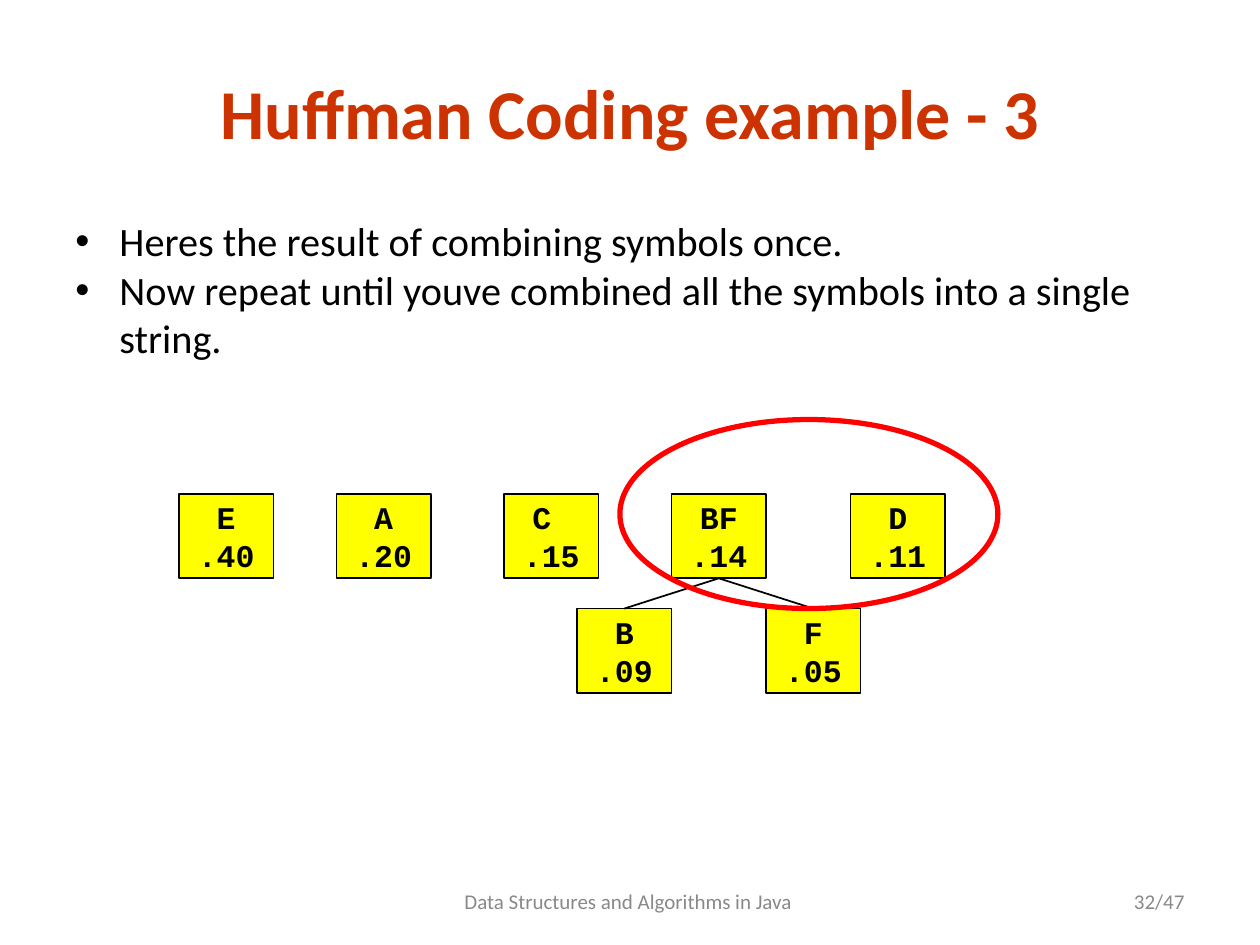
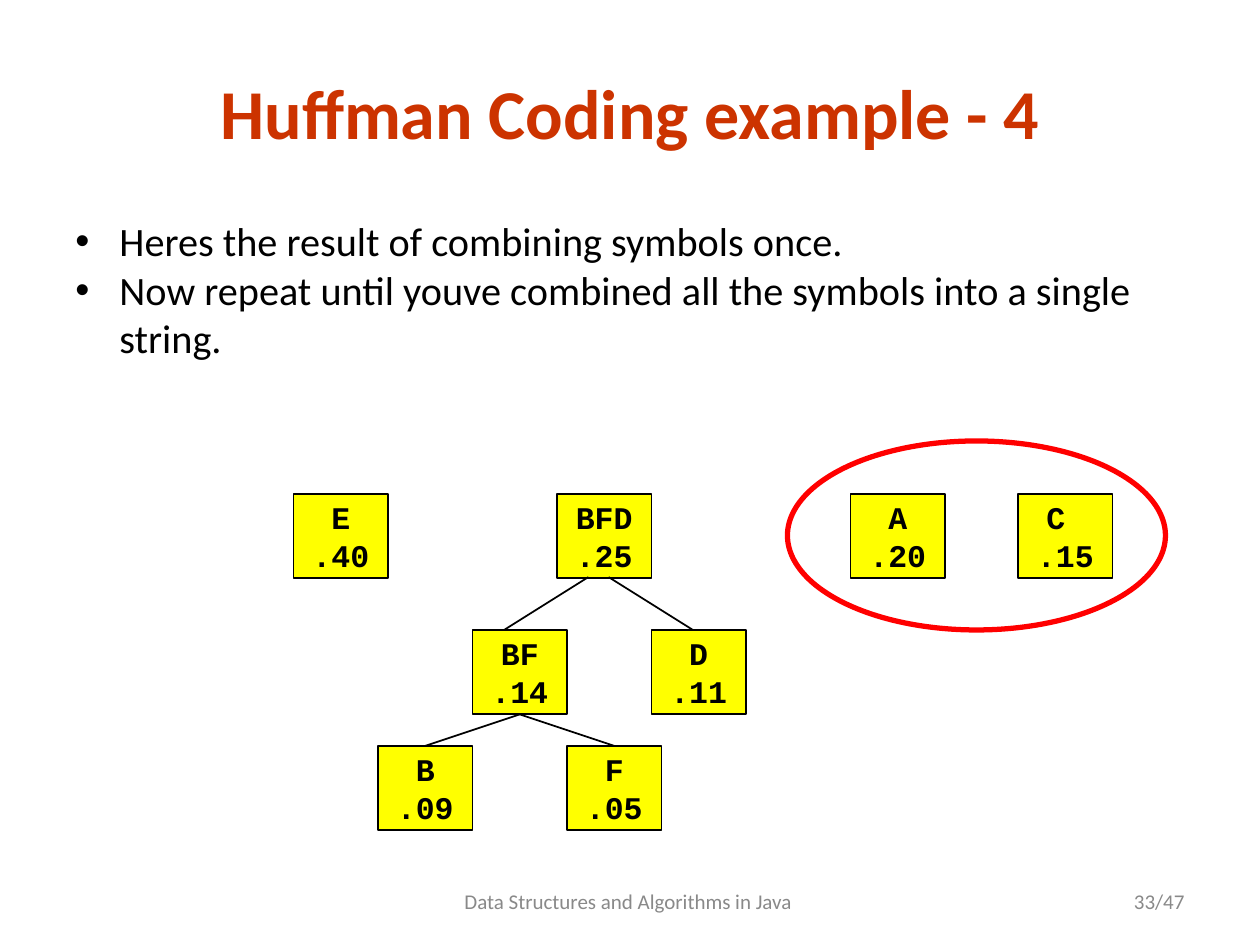
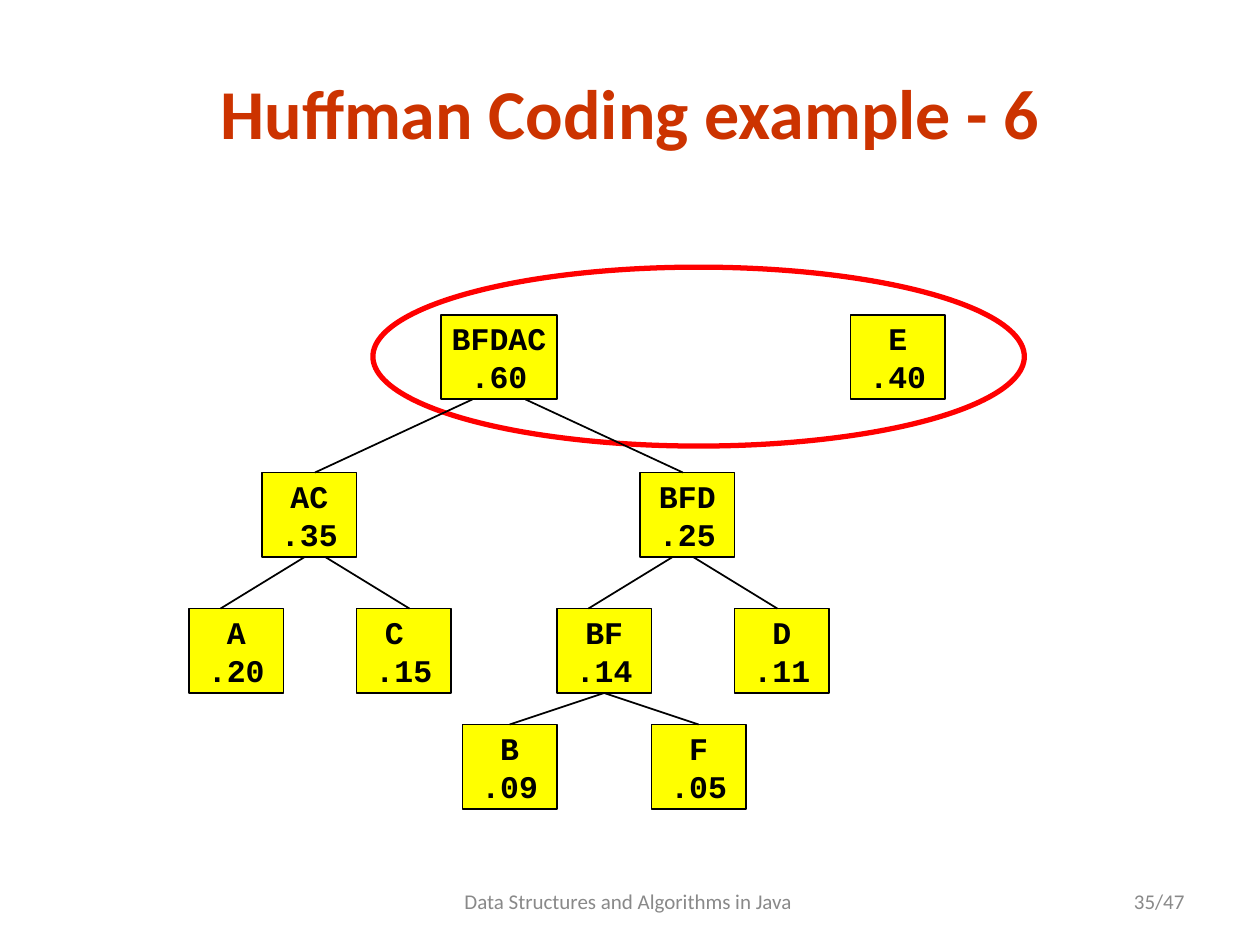
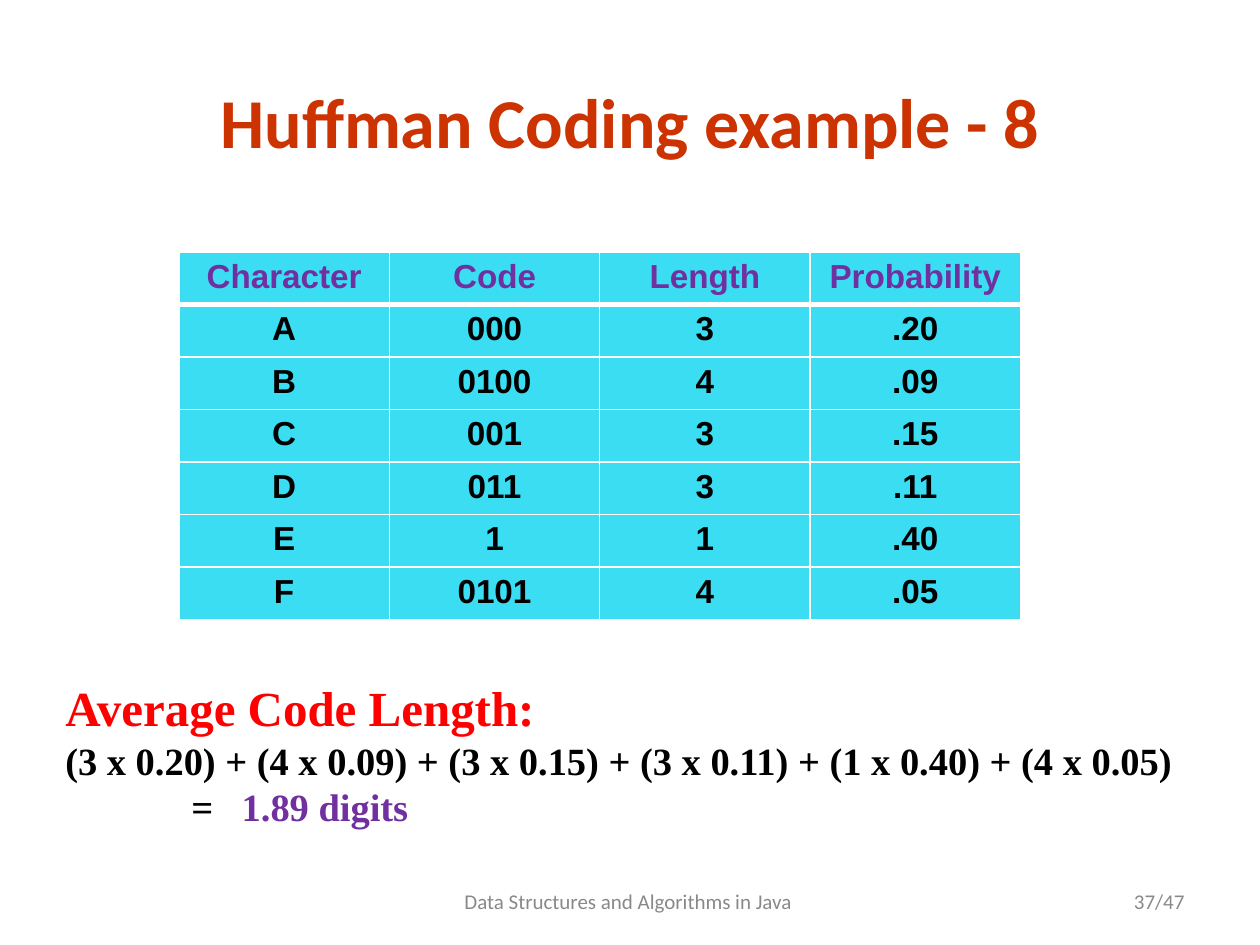
from lxml import etree
from pptx import Presentation
from pptx import util as u
from pptx.dml import color
from pptx.enum import shapes, text
from pptx.oxml import ns

BLACK, RED, YELLOW, WHITE = "000000", "FF0000", "FFFF00", "FFFFFF"
TITLE, GREY, PURPLE, CYAN = "CC3300", "898989", "7030A0", "3BDDF3"
BOX_W, BOX_H = 0.75, 0.67
LEFT, CENTER, RIGHT = text.PP_ALIGN.LEFT, text.PP_ALIGN.CENTER, text.PP_ALIGN.RIGHT
MIDDLE, TOP = text.MSO_ANCHOR.MIDDLE, text.MSO_ANCHOR.TOP


def rgb(value):
    return color.RGBColor.from_string(value)


def write(tf, lines, size, font, hex_color, bold=False, align=CENTER, anchor=MIDDLE, wrap=True):
    tf.text = "\n".join(lines)
    tf.word_wrap = wrap
    tf.vertical_anchor = anchor
    for p in tf.paragraphs:
        p.alignment = align
        for r in p.runs:
            r.font.size, r.font.name, r.font.bold = u.Pt(size), font, bold
            r.font.color.rgb = rgb(hex_color)


prs = Presentation()
prs.slide_width, prs.slide_height = u.Inches(10), u.Inches(7.5)

bullets = ["Heres the result of combining symbols once.",
           "Now repeat until youve combined all the symbols into a single string."]

# Boxes: label, probability, left, top
# Joins: parent and child; forks: centre, top, bottom, half width at top and bottom
pages = [
    dict(step=3, number=32, title_top=0.5, bullets=bullets,
         ellipse=(4.92, 3.33, 3, 1.5), ellipse_behind=False,
         boxes=[("E", ".40", 1.42, 3.92), ("A", ".20", 2.67, 3.92), ("C ", ".15", 4, 3.92),
                ("BF", ".14", 5.33, 3.92), ("D", ".11", 6.75, 3.92),
                ("B", ".09", 4.58, 4.83), ("F", ".05", 6.08, 4.83)],
         joins=[("BF", "B"), ("BF", "F")], forks=[]),
    dict(step=4, number=33, title_top=0.5, bullets=bullets,
         ellipse=(6.25, 3.5, 3, 1.5), ellipse_behind=False,
         boxes=[("E", ".40", 2.33, 3.92), ("BFD", ".25", 4.42, 3.92),
                ("A", ".20", 6.75, 3.92), ("C ", ".15", 8.08, 3.92),
                ("BF", ".14", 3.75, 5), ("D", ".11", 5.17, 5),
                ("B", ".09", 3, 5.92), ("F", ".05", 4.5, 5.92)],
         joins=[("BF", "B"), ("BF", "F")], forks=[(4.75, 4.58, 5, 0.08, 0.75)]),
    dict(step=6, number=35, title_top=0.5, bullets=[],
         ellipse=(2.96, 2.12, 5.17, 1.42), ellipse_behind=True,
         boxes=[("BFDAC", ".60", 3.5, 2.5), ("E", ".40", 6.75, 2.5),
                ("AC", ".35", 2.08, 3.75), ("BFD", ".25", 5.08, 3.75),
                ("A", ".20", 1.5, 4.83), ("C ", ".15", 2.83, 4.83),
                ("BF", ".14", 4.42, 4.83), ("D", ".11", 5.83, 4.83),
                ("B", ".09", 3.67, 5.75), ("F", ".05", 5.17, 5.75)],
         joins=[("BF", "B"), ("BF", "F")],
         forks=[(3.96, 3.17, 3.75, 0.21, 1.46), (2.5, 4.42, 4.83, 0.08, 0.75),
                (5.42, 4.42, 4.83, 0.08, 0.75)]),
    dict(step=8, number=37, title_top=0.57, bullets=[], ellipse=None, ellipse_behind=False,
         boxes=[], joins=[], forks=[]),
]

for page in pages:
    s = prs.slides.add_slide(prs.slide_layouts[6])

    # Title and footer
    for line, at, size, hex_color, bold, align in [
            ("Data Structures and Algorithms in Java ", (3.42, 6.95, 3.17, 0.4), 12, GREY, False, CENTER),
            (f"{page['number']}/47", (7.17, 6.95, 2.33, 0.4), 12, GREY, False, RIGHT),
            (f"Huffman Coding example - {page['step']}", (0.75, page["title_top"], 8.5, 0.77),
             40, TITLE, True, CENTER)]:
        sp = s.shapes.add_textbox(*map(u.Inches, at))
        write(sp.text_frame, [line], size, "Calibri", hex_color, bold, align)

    # Bullets
    if page["bullets"]:
        sp = s.shapes.add_textbox(*map(u.Inches, (0.5, 1.42, 9, 1.65)))
        tf = sp.text_frame
        write(tf, page["bullets"], 23, "Calibri", BLACK, align=LEFT, anchor=TOP)
        tf.margin_top = u.Inches(0.3)
        for p in tf.paragraphs:
            pPr = p._p.get_or_add_pPr()
            pPr.set("marL", str(u.Inches(0.35)))
            pPr.set("indent", str(-u.Inches(0.35)))
            etree.SubElement(pPr, ns.qn("a:buFont"), typeface="Arial")
            etree.SubElement(pPr, ns.qn("a:buChar"), char="•")

    # Tree boxes
    nodes = {}
    for label, probability, x, y in page["boxes"]:
        w = 0.92 if len(label) > 3 else BOX_W
        sp = s.shapes.add_shape(shapes.MSO_SHAPE.RECTANGLE, *map(u.Inches, (x, y, w, BOX_H)))
        sp.shadow.inherit = False
        sp.fill.solid()
        sp.fill.fore_color.rgb = rgb(YELLOW)
        sp.line.color.rgb = rgb(BLACK)
        sp.line.width = u.Pt(1)
        write(sp.text_frame, [label, probability], 18, "Courier New", BLACK, True, wrap=False)
        nodes[label] = sp

    # Branches
    branches = []
    for parent, child in page["joins"]:
        c = s.shapes.add_connector(shapes.MSO_CONNECTOR.STRAIGHT, 0, 0, 0, 0)
        c.begin_connect(nodes[parent], 2)
        c.end_connect(nodes[child], 0)
        branches.append(c)
    for x, top, bottom, near, far in page["forks"]:
        for side in (-1, 1):
            ends = (x + side * near, top, x + side * far, bottom)
            branches.append(s.shapes.add_connector(shapes.MSO_CONNECTOR.STRAIGHT, *map(u.Inches, ends)))
    for c in branches:
        c.line.color.rgb = rgb(BLACK)
        c.line.width = u.Pt(1)
        etree.SubElement(c._element.spPr, ns.qn("a:effectLst"))

    # Ellipse around the next pair to combine
    if page["ellipse"]:
        sp = s.shapes.add_shape(shapes.MSO_SHAPE.OVAL, *map(u.Inches, page["ellipse"]))
        sp.shadow.inherit = False
        sp.fill.background()
        sp.line.color.rgb = rgb(RED)
        sp.line.width = u.Pt(3)
        if page["ellipse_behind"]:
            nodes["BFDAC"]._element.addprevious(sp._element)

# Code table on the last slide
rows = [("Character", "Code", "Length", "Probability"),
        ("A", "000", "3", ".20"), ("B", "0100", "4", ".09"), ("C", "001", "3", ".15"),
        ("D", "011", "3", ".11"), ("E", "1", "1", ".40"), ("F", "0101", "4", ".05")]
table = s.shapes.add_table(len(rows), 4, *map(u.Inches, (1.42, 2, 6.67, 2.84))).table
table.horz_banding = False
for col in table.columns:
    col.width = u.Inches(1.67)
for i, row in enumerate(rows):
    table.rows[i].height = u.Inches(0.41)
    for j, value in enumerate(row):
        cell = table.cell(i, j)
        write(cell.text_frame, [value], 19, "Arial", BLACK if i else PURPLE, True)
        cell.vertical_anchor = TOP
        tcPr = cell._tc.get_or_add_tcPr()
        for edge in ("lnL", "lnR", "lnT", "lnB"):
            thick = (i, edge) in ((0, "lnB"), (1, "lnT"))
            ln = etree.SubElement(tcPr, ns.qn(f"a:{edge}"), w=str(u.Pt(3 if thick else 1)))
            fill = etree.SubElement(ln, ns.qn("a:solidFill"))
            etree.SubElement(fill, ns.qn("a:srgbClr"), val=WHITE)
        cell.fill.solid()
        cell.fill.fore_color.rgb = rgb(CYAN)

# Average code length
sp = s.shapes.add_textbox(*map(u.Inches, (0.42, 5.33, 9.33, 1.3)))
tf = sp.text_frame
terms = " + ".join(f"({length} x 0{probability})" for _, _, length, probability in rows[1:])
write(tf, ["Average Code Length:", terms, "\t="], 22, "Times New Roman", BLACK, True, LEFT, TOP)
heading = tf.paragraphs[0].runs[0].font
heading.size, heading.color.rgb = u.Pt(28), rgb(RED)
p = tf.paragraphs[2]
r = p.add_run()
r.text = "\t1.89 digits"
r.font.size, r.font.name, r.font.bold = u.Pt(22), "Times New Roman", True
r.font.color.rgb = rgb(PURPLE)
tabs = etree.SubElement(p._p.get_or_add_pPr(), ns.qn("a:tabLst"))
for stop in (1, 1.4):
    etree.SubElement(tabs, ns.qn("a:tab"), pos=str(u.Inches(stop)), algn="l")

prs.save("out.pptx")
